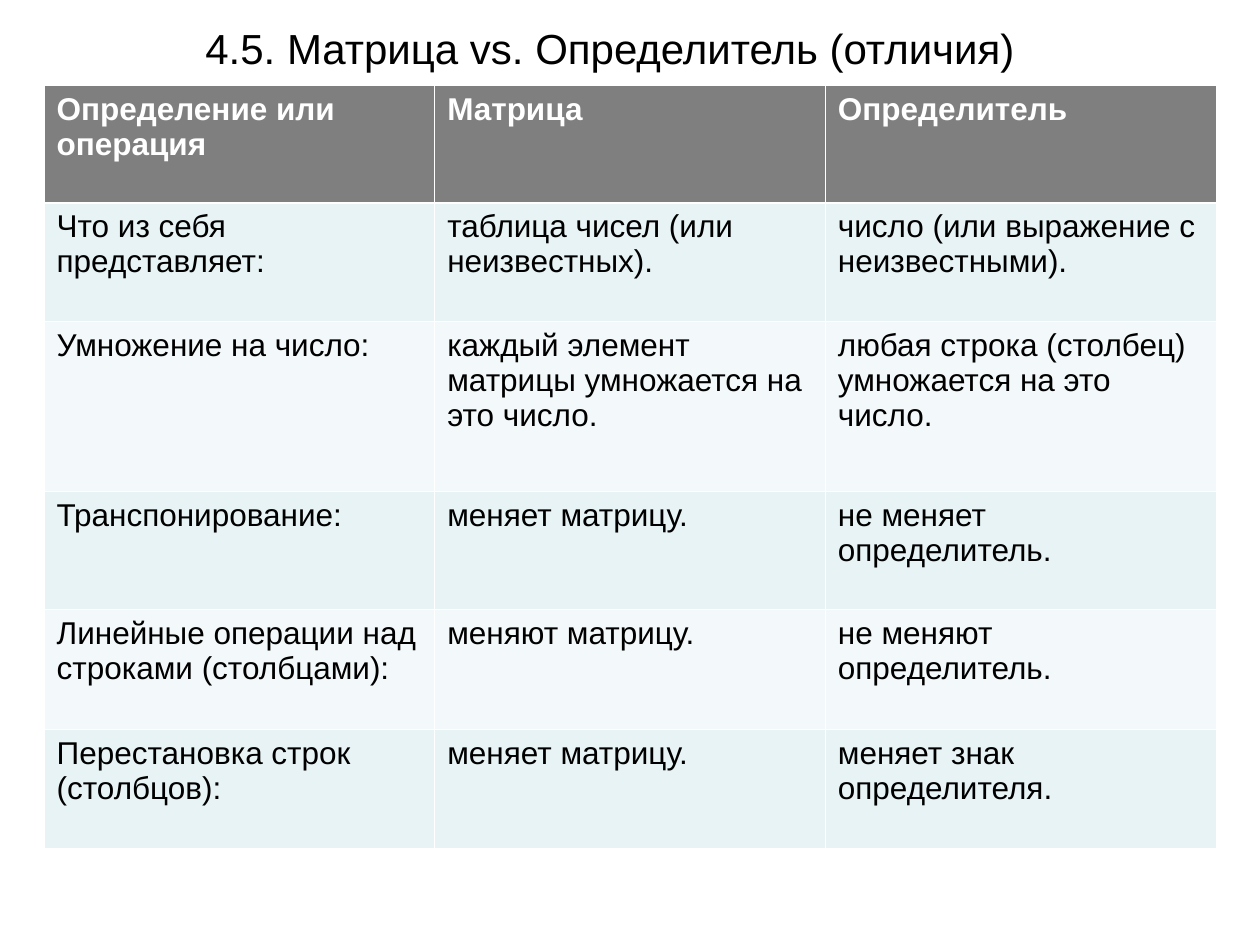
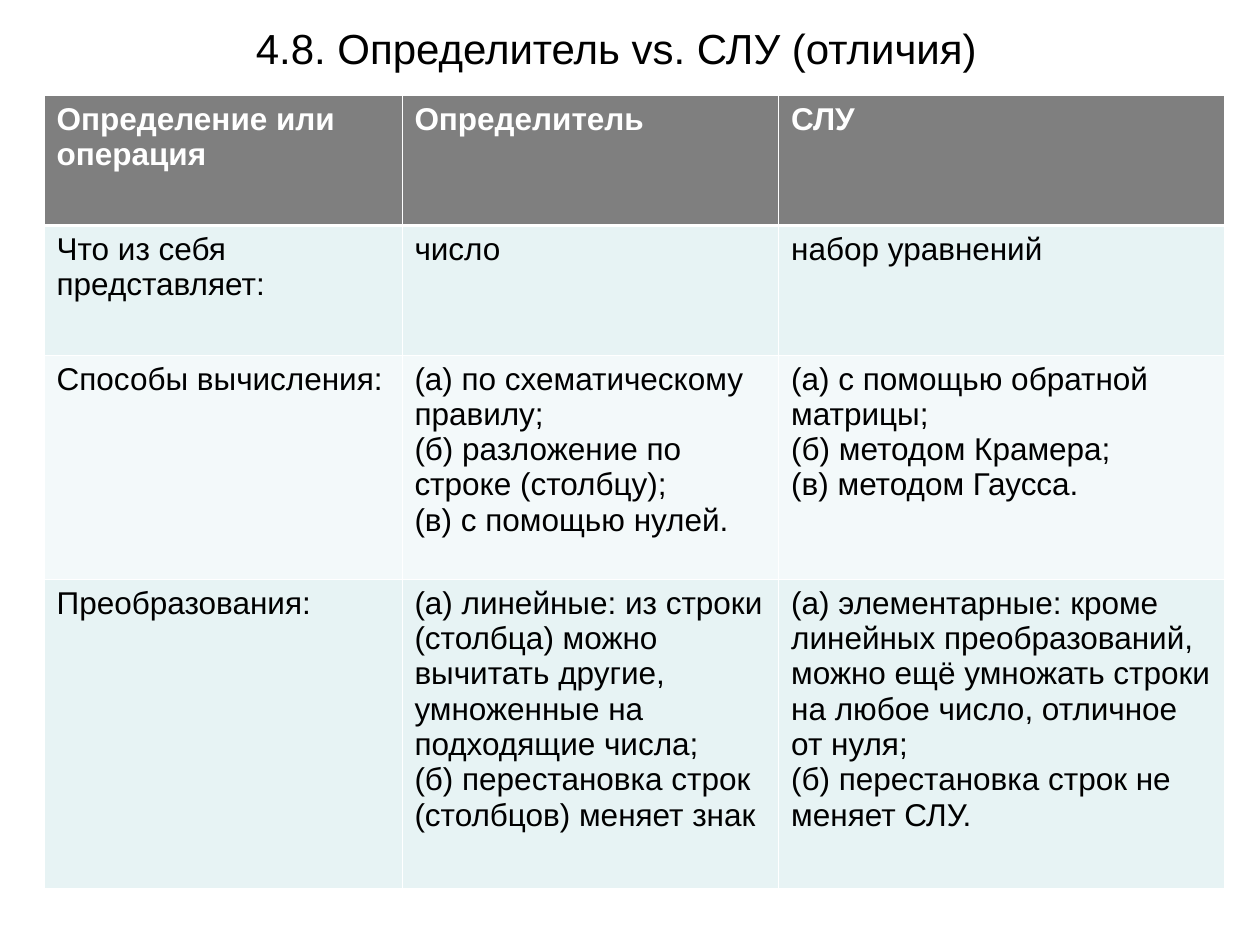
from pptx import Presentation
from pptx.dml.color import RGBColor
from pptx.enum.text import MSO_ANCHOR, MSO_AUTO_SIZE, PP_ALIGN
from pptx.oxml import parse_xml
from pptx.oxml.ns import nsdecls
from pptx.util import Inches, Pt

FONT = "Arial"
BLACK, WHITE = "000000", "FFFFFF"
HEAD, BANDS = "7F7F7F", ("E7F3F4", "F3F9FA")
THIN, THICK = 0.45, 1.47

MATRIX_ROWS = [
    ["Определение или операция", "Матрица", "Определитель"],
    ["Что из себя представляет:", "таблица чисел (или неизвестных).",
     "число (или выражение с неизвестными)."],
    ["Умножение на число:",
     "каждый элемент матрицы умножается на это число.",
     "любая строка (столбец) умножается на это число."],
    ["Транспонирование:", "меняет матрицу.", "не меняет определитель."],
    ["Линейные операции над строками (столбцами):", "меняют матрицу.",
     "не меняют определитель."],
    ["Перестановка строк (столбцов):", "меняет матрицу.",
     "меняет знак определителя."],
]

SYSTEM_ROWS = [
    ["Определение или операция", "Определитель", "СЛУ"],
    ["Что из себя представляет:", "число", "набор уравнений"],
    ["Способы вычисления:",
     "(а) по схематическому правилу;\n"
     "(б) разложение по строке (столбцу);\n"
     "(в) с помощью нулей.",
     "(а) с помощью обратной матрицы;\n"
     "(б) методом Крамера;\n"
     "(в) методом Гаусса."],
    ["Преобразования:",
     "(а) линейные: из строки (столбца) можно вычитать другие, "
     "умноженные на подходящие числа;\n"
     "(б) перестановка строк (столбцов) меняет знак",
     "(а) элементарные: кроме линейных преобразований, можно ещё "
     "умножать строки на любое число, отличное от нуля;\n"
     "(б) перестановка строк не меняет СЛУ."],
]


def color(code):
    return RGBColor.from_string(code)


def write(frame, text, size=18, ink=BLACK, bold=False):
    frame.text = text
    frame.word_wrap = True
    for para in frame.paragraphs:
        para.alignment = PP_ALIGN.LEFT
        font = para.runs[0].font
        font.name, font.size, font.bold = FONT, Pt(size), bold
        font.color.rgb = color(ink)


def add_title(slide, text, left, width):
    title = slide.shapes.title
    title.left, title.top = Inches(left), Inches(0.13)
    title.width, title.height = Inches(width), Inches(0.5)
    frame = title.text_frame
    write(frame, text, size=24)
    frame.auto_size = MSO_AUTO_SIZE.NONE
    frame.vertical_anchor = MSO_ANCHOR.TOP


def edge(cell, top, bottom):
    """Draw white cell borders; top and bottom are widths in points."""
    props = cell._tc.get_or_add_tcPr()
    sides = {"L": THIN, "R": THIN, "T": top, "B": bottom}
    for spot, (side, width) in enumerate(sides.items()):
        props.insert(spot, parse_xml(
            f'<a:ln{side} {nsdecls("a")} w="{Pt(width)}"><a:solidFill>'
            f'<a:srgbClr val="{WHITE}"/></a:solidFill></a:ln{side}>'))


def fill_cell(cell, text, row):
    head = row == 0
    write(cell.text_frame, text, ink=WHITE if head else BLACK, bold=head)
    cell.fill.solid()
    cell.fill.fore_color.rgb = color(HEAD if head else BANDS[(row - 1) % 2])
    edge(cell, THICK if row == 1 else THIN, THICK if head else THIN)


def add_grid(slide, rows, top, widths, heights):
    frame = slide.shapes.add_table(
        len(rows), len(widths), Inches(0.35), Inches(top),
        Inches(sum(widths)), Inches(sum(heights)))
    table = frame.table
    for col, width in zip(table.columns, widths):
        col.width = Inches(width)
    for row, height in enumerate(heights):
        table.rows[row].height = Inches(height)
        for col, text in enumerate(rows[row]):
            fill_cell(table.cell(row, col), text, row)


def main():
    deck = Presentation()
    deck.slide_width, deck.slide_height = Inches(10), Inches(7.5)
    layout = deck.slide_layouts[5]

    slide = deck.slides.add_slide(layout)
    add_title(slide, "4.5. Матрица vs. Определитель (отличия)", 1.53, 7.01)
    add_grid(slide, MATRIX_ROWS, 0.68, [3.1] * 3,
             [0.93, 0.94, 1.35, 0.94, 0.95, 0.94])

    slide = deck.slides.add_slide(layout)
    add_title(slide, "4.8. Определитель vs. СЛУ (отличия)", 1.93, 6.22)
    add_grid(slide, SYSTEM_ROWS, 0.76, [2.84, 2.99, 3.54],
             [1.03, 1.03, 1.78, 2.45])

    deck.save("out.pptx")


if __name__ == "__main__":
    main()
